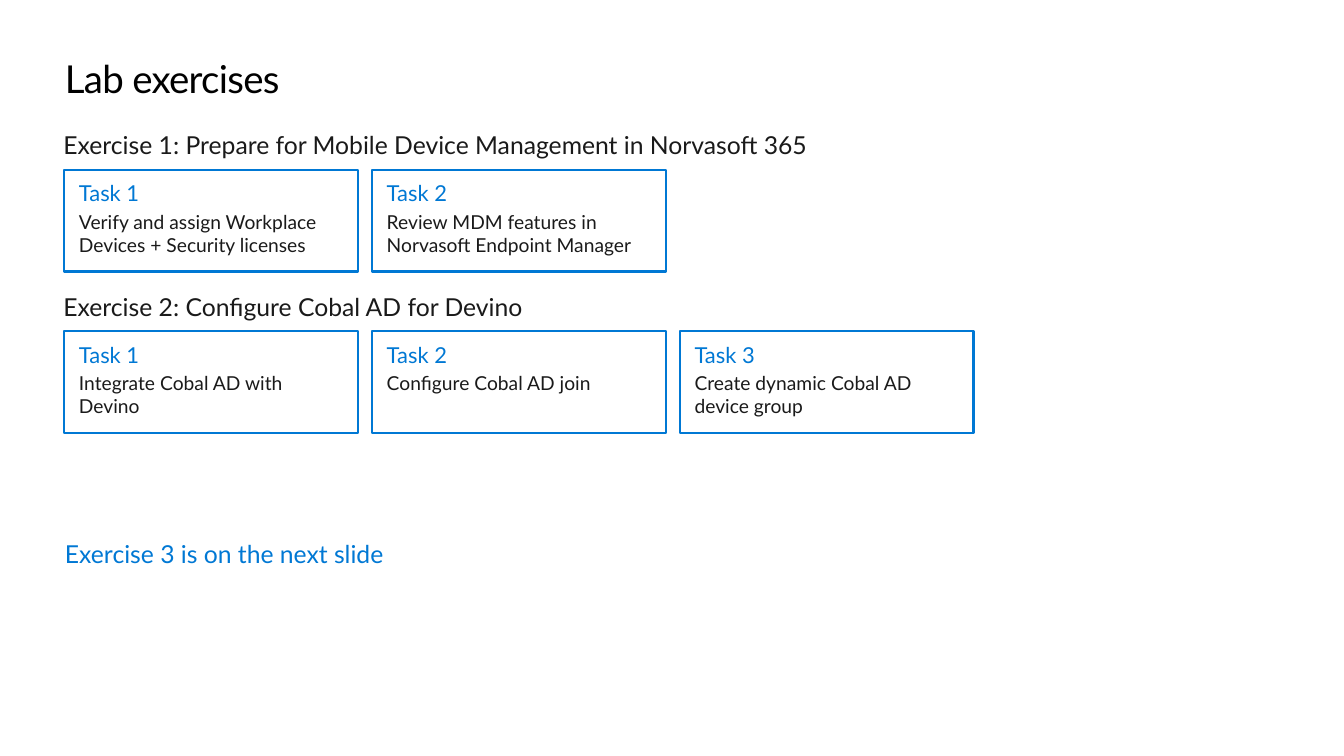
from dataclasses import dataclass
from pptx import Presentation
from pptx import util as u
from pptx.dml.color import RGBColor
from pptx.enum import shapes, text


@dataclass(frozen=True)
class Theme:
    font: str = "Lato"
    black: str = "000000"
    ink: str = "1A1A1A"
    accent: str = "0078D4"
    title: int = 28
    heading: int = 18
    task: int = 16
    body: int = 14


theme = Theme()


def set_frame(shape, margin_x=0, margin_y=0, anchor=text.MSO_ANCHOR.TOP):
    frame = shape.text_frame
    frame.word_wrap = True
    frame.auto_size = text.MSO_AUTO_SIZE.NONE
    frame.vertical_anchor = anchor
    frame.margin_left = frame.margin_right = u.Cm(margin_x)
    frame.margin_top = frame.margin_bottom = u.Cm(margin_y)
    return frame


def add_run(paragraph, words, size, color, before=0):
    paragraph.alignment = text.PP_ALIGN.LEFT
    paragraph.space_before = u.Pt(before)
    run = paragraph.add_run()
    run.text = words
    run.font.name = theme.font
    run.font.size = u.Pt(size)
    run.font.color.rgb = RGBColor.from_string(color)
    return run


exercises = [
    ("Exercise 1: Prepare for Mobile Device Management in Norvasoft 365",
     ["Verify and assign Workplace Devices + Security licenses",
      "Review MDM features in Norvasoft Endpoint Manager"]),
    ("Exercise 2: Configure Cobal AD for Devino",
     ["Integrate Cobal AD with Devino",
      "Configure Cobal AD join",
      "Create dynamic Cobal AD device group"]),
]

left, column_step = 1.65, 7.91
first_heading, first_row, exercise_step = 3.33, 4.36, 4.16
task_width, task_height = 7.55, 2.62
heading_height = 0.76

prs = Presentation()
prs.slide_width, prs.slide_height = u.Cm(34.54), u.Cm(19.43)
slide = prs.slides.add_slide(prs.slide_layouts[5])

title = slide.shapes.title
title.left, title.top = u.Cm(1.67), u.Cm(1.41)
title.width, title.height = u.Cm(31.22), u.Cm(1.22)
title_run = add_run(set_frame(title).paragraphs[0], "Lab exercises", theme.title, theme.black)
title_run.font._element.set("spc", "-50")

for row, (name, tasks) in enumerate(exercises):
    heading = slide.shapes.add_textbox(
        u.Cm(1.63), u.Cm(first_heading + row * exercise_step), u.Cm(22), u.Cm(heading_height))
    heading_frame = set_frame(heading, anchor=text.MSO_ANCHOR.MIDDLE)
    add_run(heading_frame.paragraphs[0], name, theme.heading, theme.ink, before=3)

    for column, description in enumerate(tasks):
        task = slide.shapes.add_shape(
            shapes.MSO_SHAPE.RECTANGLE,
            u.Cm(left + column * column_step), u.Cm(first_row + row * exercise_step),
            u.Cm(task_width), u.Cm(task_height))
        task.shadow.inherit = False
        task.fill.background()
        task.line.color.rgb = RGBColor.from_string(theme.accent)
        task.line.width = u.Pt(1.5)
        task_frame = set_frame(task, 0.38, 0.25)
        add_run(task_frame.paragraphs[0], f"Task {column + 1}", theme.task, theme.accent, before=3)
        add_run(task_frame.add_paragraph(), description, theme.body, theme.ink, before=3)

next_note = slide.shapes.add_textbox(u.Cm(1.67), u.Cm(13.84), u.Cm(22.33), u.Cm(heading_height))
add_run(set_frame(next_note).paragraphs[0], "Exercise 3 is on the next slide",
        theme.heading, theme.accent)

prs.save("out.pptx")
